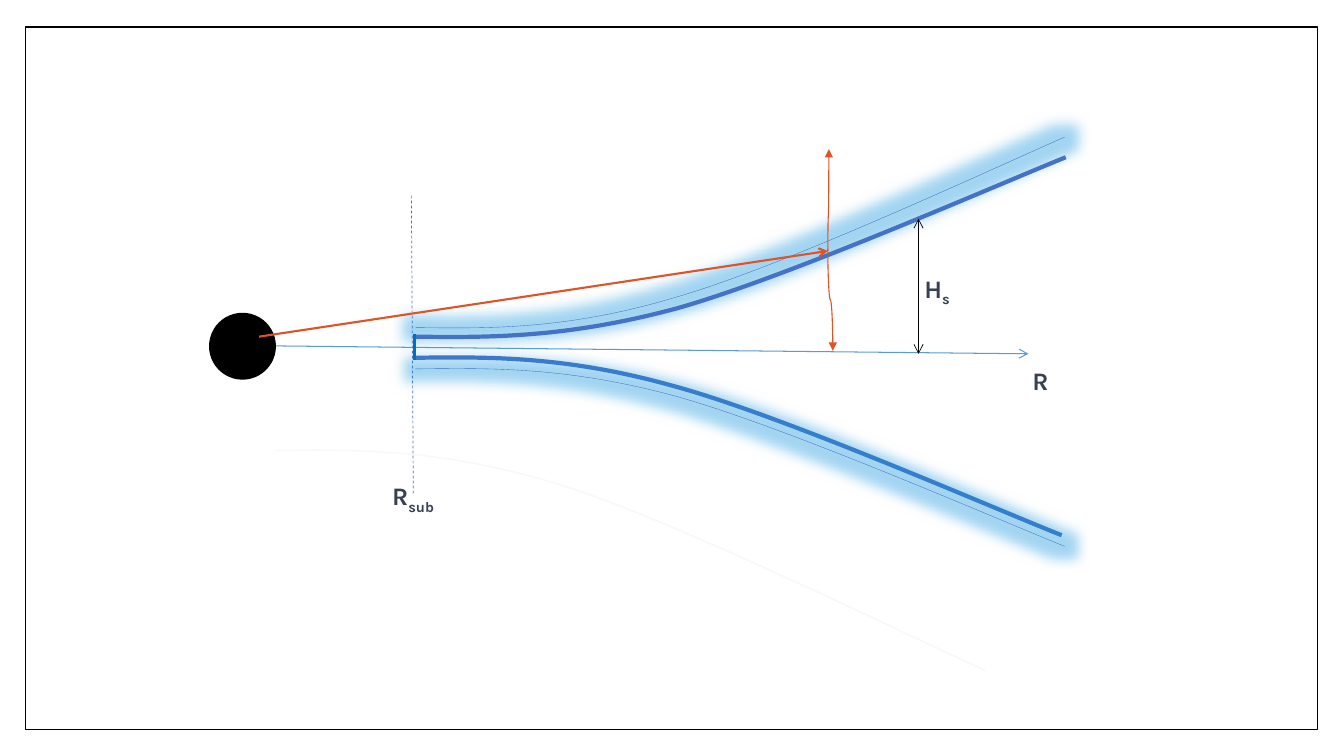
from lxml import etree
from pptx import Presentation
from pptx.dml.color import RGBColor
from pptx.enum.dml import MSO_LINE as Dash
from pptx.enum.shapes import MSO_CONNECTOR as Link, MSO_SHAPE as Kind
from pptx.enum.text import MSO_AUTO_SIZE as Auto
from pptx.oxml.ns import qn
from pptx.util import Inches, Pt

HUES = {"black": "000000", "white": "FFFFFF", "axis": "5B9BD5", "disk": "4472C4",
        "faint": "F6F8FC", "ray": "DF5327", "wall": "0070C0", "text": "374151",
        "glow": "1996DE"}
FONT = "Karla"
GLOW = 0.25

FRAME = (0.25, 0.27, 12.82, 6.97)
STAR = (2.08, 3.11, 0.65, 0.65)

# Start point, then two Bezier arcs of three points each
UPPER_HAZE = [(4.12, 3.25), (4.87, 3.26), (5.63, 3.27), (6.7, 2.95),
              (7.78, 2.64), (9.83, 1.68), (10.56, 1.36)]
FAINT_ARC = [(2.73, 4.47), (3.56, 4.46), (4.38, 4.45), (5.56, 4.81),
             (6.73, 5.18), (8.97, 6.29), (9.77, 6.65)]
UPPER_DISK = [(4.12, 3.34), (4.87, 3.35), (5.63, 3.35), (6.71, 3.06),
              (7.78, 2.76), (9.83, 1.86), (10.57, 1.56)]
LOWER_DISK = [(4.1, 3.55), (4.85, 3.54), (5.61, 3.53), (6.68, 3.83),
              (7.75, 4.12), (9.8, 5.02), (10.53, 5.31)]
LOWER_HAZE = [(4.12, 3.66), (4.88, 3.65), (5.63, 3.64), (6.7, 3.93),
              (7.78, 4.23), (9.82, 5.12), (10.56, 5.42)]

# Ends of straight lines
AXIS = (2.57, 3.43, 10.2, 3.51)
RIM = (4.08, 1.94, 4.1, 4.91)
RAY = (2.57, 3.34, 8.21, 2.49)
WALL = (4.11, 3.31, 4.11, 3.57)
HEIGHT = (9.11, 2.17, 9.11, 3.51)
# Ends of curved arrows before they are turned
DOWN = (8.74, 2.95, 7.73, 3.0)
UP = (8.72, 1.99, 7.71, 1.98)

# Box, main letter, subscript, wraps, space after
LABELS = [((10.14, 3.58, 0.83, 0.4), "R", "", True, 8),
          ((3.79, 4.72, 0.65, 0.4), "R", "sub", False, 8),
          ((9.07, 2.66, 0.51, 0.4), "H", "s", True, 0)]

deck = Presentation()
deck.slide_width, deck.slide_height = Inches(13.33), Inches(7.5)
slide = deck.slides.add_slide(deck.slide_layouts[6])
shapes = slide.shapes


def rgb(hue):
    return RGBColor.from_string(HUES[hue])


def stroke(item, hue, width):
    item.line.color.rgb = rgb(hue)
    item.line.width = Pt(width)


def solid(kind, box, fill):
    item = shapes.add_shape(kind, *map(Inches, box))
    item.shadow.inherit = False
    item.fill.solid()
    item.fill.fore_color.rgb = rgb(fill)
    stroke(item, "black", 1)


def soften(props):
    """Turn each three straight pieces of an outline into one Bezier arc."""
    lines = list(props.iter(qn("a:lnTo")))
    for i in range(0, len(lines), 3):
        arc = etree.Element(qn("a:cubicBezTo"))
        lines[i].addprevious(arc)
        for line in lines[i:i + 3]:
            arc.append(line[0])
            line.getparent().remove(line)


def curve(knots, hue, width, glow=False):
    dots = [(Inches(x), Inches(y)) for x, y in knots]
    pen = shapes.build_freeform(*dots[0])
    pen.add_line_segments(dots[1:], close=False)
    item = pen.convert_to_shape()
    item.shadow.inherit = False
    item.fill.background()
    stroke(item, hue, width)
    props = item._element.spPr
    soften(props)
    if glow:
        halo = etree.SubElement(props.find(qn("a:effectLst")), qn("a:glow"),
                                rad=str(Inches(GLOW)))
        tint = etree.SubElement(halo, qn("a:srgbClr"), val=HUES["glow"])
        etree.SubElement(tint, qn("a:alpha"), val="40000")


def link(ends, hue, width, head=None, tail=None, kind=Link.STRAIGHT):
    item = shapes.add_connector(kind, *map(Inches, ends))
    stroke(item, hue, width)
    props = item._element.spPr
    etree.SubElement(props, qn("a:effectLst"))
    for tag, tip in (("a:headEnd", head), ("a:tailEnd", tail)):
        if tip:
            etree.SubElement(props.find(qn("a:ln")), qn(tag), type=tip)
    return item


def bend(ends, turn, adj):
    """Draw a curved arrow turned by some degrees, with its bend at adj."""
    item = link(ends, "ray", 0.79, tail="triangle", kind=Link.CURVE)
    props = item._element.spPr
    props.find(qn("a:xfrm")).set("rot", str(turn * 60000))
    shape = props.find(qn("a:prstGeom"))
    guides = shape.find(qn("a:avLst"))
    if guides is None:
        guides = etree.SubElement(shape, qn("a:avLst"))
    etree.SubElement(guides, qn("a:gd"), name="adj1", fmla=f"val {round(adj * 100000)}")


def label(box, main, sub, wrap, after):
    frame = shapes.add_textbox(*map(Inches, box)).text_frame
    frame.word_wrap = wrap
    frame.auto_size = Auto.SHAPE_TO_FIT_TEXT
    para = frame.paragraphs[0]
    para.text = main
    para.space_after = Pt(after)
    if sub:
        low = para.add_run()
        low.text = sub
        low.font._element.set("baseline", "-25000")
    for run in para.runs:
        run.font.name, run.font.size, run.font.bold = FONT, Pt(18), True
        run.font.color.rgb = rgb("text")


solid(Kind.RECTANGLE, FRAME, "white")
link(AXIS, "axis", 0.75, tail="arrow")
solid(Kind.OVAL, STAR, "black")
curve(UPPER_HAZE, "disk", 0.25, glow=True)
curve(FAINT_ARC, "faint", 1)
link(RIM, "disk", 0.5).line.dash_style = Dash.DASH
curve(UPPER_DISK, "disk", 3)
curve(LOWER_DISK, "disk", 3)
curve(LOWER_HAZE, "disk", 0.25, glow=True)
link(RAY, "ray", 1.5, tail="arrow")
bend(DOWN, 270, 0.5)
link(WALL, "wall", 2.25)
bend(UP, 90, 0.34)
link(HEIGHT, "black", 0.5, head="arrow", tail="arrow")
for entry in LABELS:
    label(*entry)

deck.save("out.pptx")
